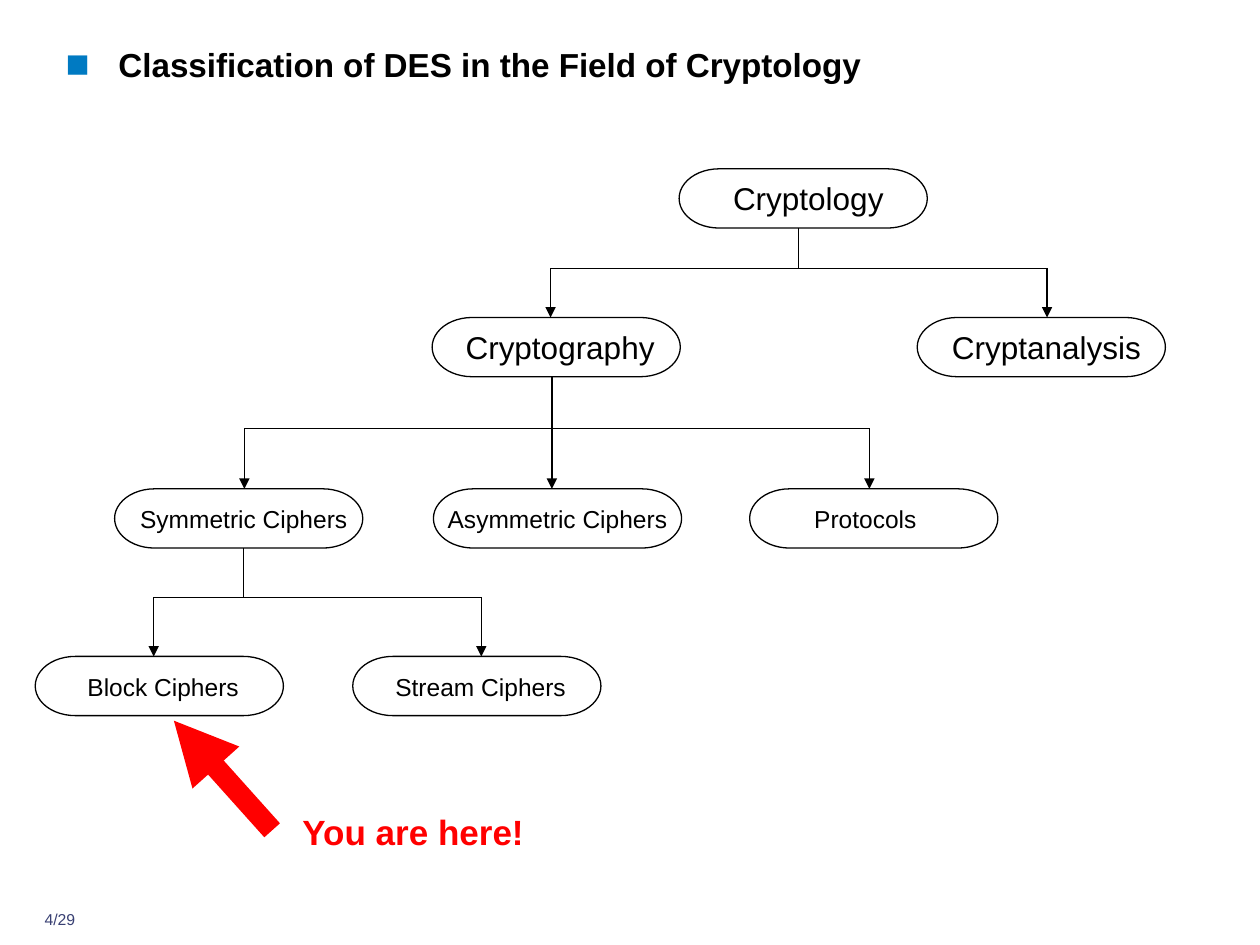
from lxml.etree import SubElement
from pptx import Presentation
from pptx.dml.color import RGBColor
from pptx.enum.shapes import MSO_CONNECTOR, MSO_SHAPE
from pptx.enum.text import MSO_ANCHOR, MSO_AUTO_SIZE, PP_ALIGN
from pptx.oxml.ns import qn
from pptx.util import Inches, Pt

# The slide is a grid of 100 columns by 75 rows of square cells.
CELL = Inches(0.1)
NODE_WIDTH, NODE_HEIGHT = 19.7, 4.7
LABEL_WIDTH = 18.9
BLACK, RED, BLUE, NAVY = "000000", "FF0000", "007AC2", "394073"

# Each level: top row, font size, label drop, nodes as (text, left, label shift)
LEVELS = [
    (13.4, 18, 0.8, [("Cryptology", 53.9, 0.8)]),
    (25.2, 18, 0.8, [("Cryptography", 34.3, 0.7), ("Cryptanalysis", 72.8, 0.8)]),
    (38.8, 14, 1.2, [("Symmetric Ciphers", 9.1, 0.8),
                     ("Asymmetric Ciphers", 34.4, 0.4),
                     ("Protocols ", 59.5, 0)]),
    (52.1, 14, 1.2, [("Block Ciphers", 2.8, 0.7), ("Stream Ciphers", 28, 0.7)]),
]
# Branches above each level: trunk column, bus row, drop columns
BRANCHES = [
    None,
    (63.4, 21.3, [43.7, 83.1]),
    (43.8, 34, [19.4, 43.8, 69]),
    (19.3, 47.4, [12.2, 38.2]),
]


def grid(*cells):
    return [round(count * CELL) for count in cells]


def color(hex_string):
    return RGBColor.from_string(hex_string)


def write(shape, text, size, hex_color, bold=False, align=PP_ALIGN.LEFT, wrap=True):
    """Put one formatted run into a shape without margins."""
    frame = shape.text_frame
    frame.margin_left = frame.margin_top = frame.margin_right = frame.margin_bottom = 0
    frame.auto_size = MSO_AUTO_SIZE.NONE
    frame.vertical_anchor = MSO_ANCHOR.TOP
    frame.word_wrap = wrap
    paragraph = frame.paragraphs[0]
    paragraph.alignment = align
    run = paragraph.add_run()
    run.text = text
    run.font.name = "Arial"
    run.font.size = Pt(size)
    run.font.bold = bold
    run.font.color.rgb = color(hex_color)
    return paragraph


def add_title(slide, text):
    title = slide.shapes.title
    title.left, title.top, title.width, title.height = grid(5.2, 3.5, 70.7, 5.6)
    paragraph = write(title, text, 19, BLACK, bold=True)
    properties = paragraph._p.get_or_add_pPr()
    properties.set("marL", str(Inches(0.42)))
    properties.set("indent", str(-Inches(0.42)))
    bullet_color = SubElement(properties, qn("a:buClr"))
    SubElement(bullet_color, qn("a:srgbClr"), val=BLUE)
    SubElement(properties, qn("a:buSzPct"), val="120000")
    SubElement(properties, qn("a:buFont"), typeface="Arial")
    SubElement(properties, qn("a:buChar"), char="■")


def add_text(shapes, text, box, size, hex_color, **formatting):
    write(shapes.add_textbox(*grid(*box)), text, size, hex_color, **formatting)


def add_node(shapes, text, left, top, size, shift, drop):
    node = shapes.add_shape(MSO_SHAPE.FLOWCHART_TERMINATOR,
                            *grid(left, top, NODE_WIDTH, NODE_HEIGHT))
    node.shadow.inherit = False
    node.fill.background()
    node.line.color.rgb = color(BLACK)
    node.line.width = Pt(0.75)
    box = (left + shift, top + drop, LABEL_WIDTH, size / 6)
    add_text(shapes, text, box, size, BLACK, align=PP_ALIGN.CENTER)


def add_line(shapes, start, end, hex_color=BLACK, width=0.75, arrow=False):
    line = shapes.add_connector(MSO_CONNECTOR.STRAIGHT, *grid(*start, *end))
    line.line.color.rgb = color(hex_color)
    line.line.width = Pt(width)
    if arrow:
        SubElement(line.line._get_or_add_ln(), qn("a:tailEnd"), type="triangle")
    SubElement(line._element.spPr, qn("a:effectLst"))


def add_branch(shapes, parent_bottom, child_top, trunk, bus, drops):
    add_line(shapes, (trunk, parent_bottom), (trunk, bus))
    add_line(shapes, (drops[0], bus), (drops[-1], bus))
    for column in drops:
        add_line(shapes, (column, bus), (column, child_top), arrow=True)


def add_tree(slide):
    parent_bottom = None
    for (top, size, drop, nodes), branch in zip(LEVELS, BRANCHES):
        shapes = slide.shapes.add_group_shape().shapes
        for text, left, shift in nodes:
            add_node(shapes, text, left, top, size, shift, drop)
        if branch:
            add_branch(shapes, parent_bottom, top, *branch)
        parent_bottom = top + NODE_HEIGHT


def main():
    presentation = Presentation()
    presentation.slide_width, presentation.slide_height = grid(100, 75)
    slide = presentation.slides.add_slide(presentation.slide_layouts[5])
    add_title(slide, "Classification of DES in the Field of Cryptology")
    add_tree(slide)
    add_line(slide.shapes, (21.6, 65.9), (13.8, 57.2), RED, 12, arrow=True)
    add_text(slide.shapes, "You are here!", (24, 64.3, 17.8, 3.3), 20, RED,
             bold=True, wrap=False)
    add_text(slide.shapes, "4/29", (2, 72.2, 5.5, 2.4), 9, NAVY,
             align=PP_ALIGN.CENTER)
    presentation.save("out.pptx")


if __name__ == "__main__":
    main()
